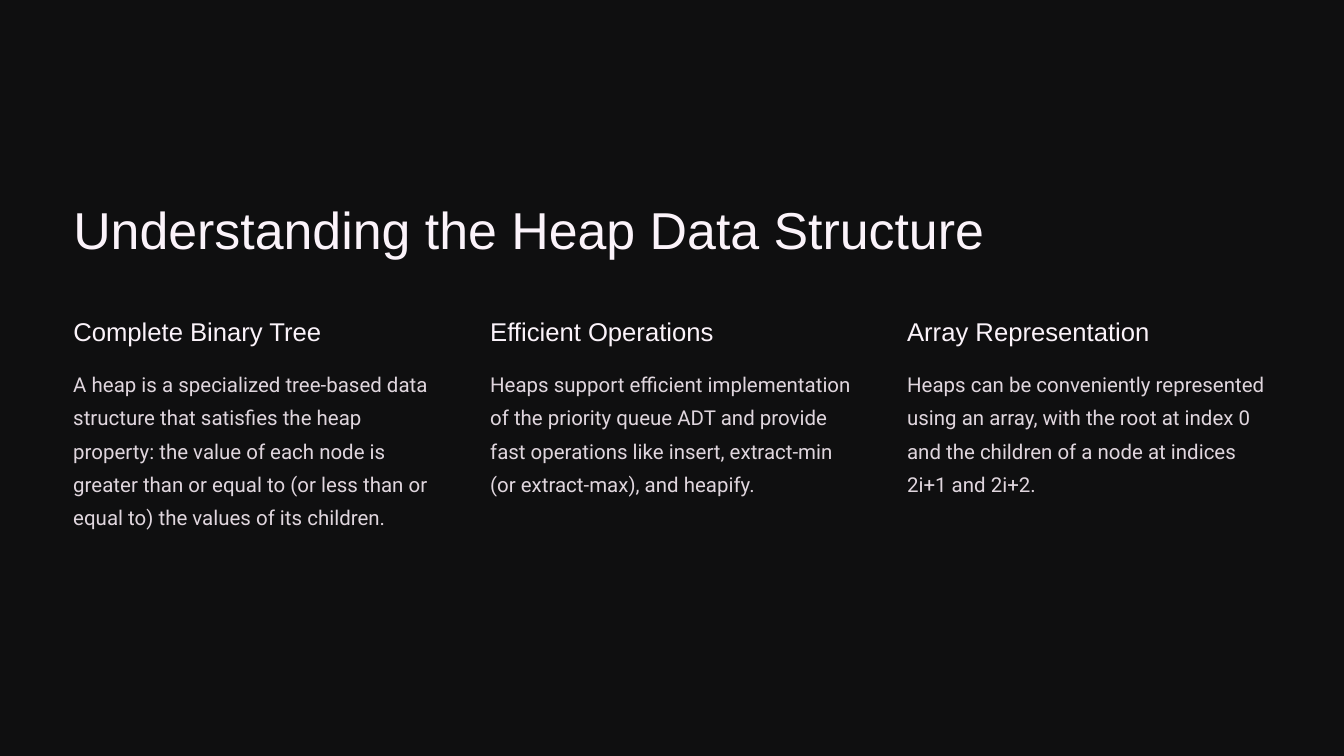
from pptx import Presentation
from pptx.dml.color import RGBColor
from pptx.enum.shapes import MSO_SHAPE
from pptx.enum.text import MSO_AUTO_SIZE
from pptx.util import Pt

RECTANGLE = MSO_SHAPE.RECTANGLE
FIT_SHAPE = MSO_AUTO_SIZE.SHAPE_TO_FIT_TEXT

SLIDE_W, SLIDE_H = 1440, 810
BASE = RGBColor(0x18, 0x18, 0x1B)
OVERLAY = RGBColor(0x0F, 0x0F, 0x10)
HEADING = RGBColor(0xFB, 0xF3, 0xFA)
BODY = RGBColor(0xE0, 0xD6, 0xDE)

# Text styles: line spacing in points and font values
TITLE_STYLE = (69.4, {"name": "Arial", "size": Pt(55.6)}, HEADING)
HEAD_STYLE = (34.4, {"name": "Arial", "size": Pt(27.5)}, HEADING)
BODY_STYLE = (35.6, {"name": "Roboto", "size": Pt(21.9)}, BODY)

LEFT = 78.5
COLUMN_TOP = 337
COLUMN_W = 391.7
COLUMN_GAP = 55

COLUMNS = [
    ("Complete Binary Tree",
     "A heap is a specialized tree-based data structure that satisfies the "
     "heap property: the value of each node is greater than or equal to (or "
     "less than or equal to) the values of its children."),
    ("Efficient Operations",
     "Heaps support efficient implementation of the priority queue ADT and "
     "provide fast operations like insert, extract-min (or extract-max), "
     "and heapify."),
    ("Array Representation",
     "Heaps can be conveniently represented using an array, with the root "
     "at index 0 and the children of a node at indices 2i+1 and 2i+2."),
]


def add_background(s, x, y, w, h):
    for color in (BASE, OVERLAY):
        sp = s.shapes.add_shape(RECTANGLE, Pt(x), Pt(y), Pt(w), Pt(h))
        sp.shadow.inherit = False
        sp.fill.solid()
        sp.fill.fore_color.rgb = color
        sp.line.fill.background()


def add_text(s, x, y, w, h, text, style):
    spacing, font, color = style
    tf = s.shapes.add_textbox(Pt(x), Pt(y), Pt(w), Pt(h)).text_frame
    for side in ("left", "top", "right", "bottom"):
        setattr(tf, f"margin_{side}", 0)
    tf.word_wrap = True
    tf.auto_size = FIT_SHAPE
    p = tf.paragraphs[0]
    p.line_spacing = Pt(spacing)
    r = p.add_run()
    r.text = text
    for key, value in font.items():
        setattr(r.font, key, value)
    r.font.color.rgb = color


def add_column(s, x, y, w, heading, body):
    add_text(s, x, y, 334.8, 38.2, heading, HEAD_STYLE)
    add_text(s, x, y + 52.5, w, 185.8, body, BODY_STYLE)


def main():
    prs = Presentation()
    prs.slide_width, prs.slide_height = Pt(SLIDE_W), Pt(SLIDE_H)
    s = prs.slides.add_slide(prs.slide_layouts[6])

    add_background(s, 0, 0, SLIDE_W, SLIDE_H)

    # Title
    add_text(s, LEFT, 209.5, 1239, 74.2,
             "Understanding the Heap Data Structure", TITLE_STYLE)

    # Three equal columns
    for i, (heading, body) in enumerate(COLUMNS):
        x = LEFT + i * (COLUMN_W + COLUMN_GAP)
        add_column(s, x, COLUMN_TOP, COLUMN_W, heading, body)

    prs.save("out.pptx")


if __name__ == "__main__":
    main()
